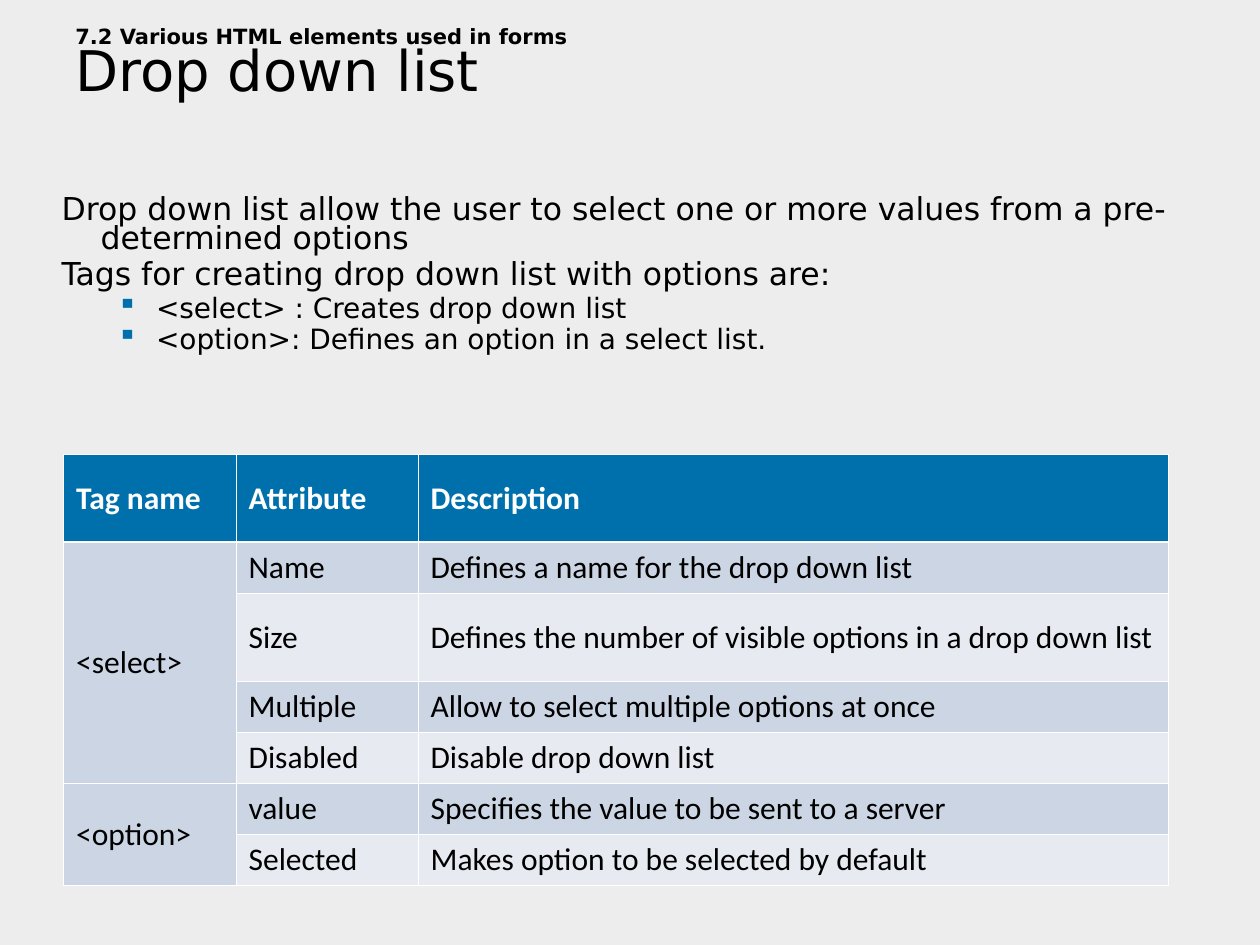
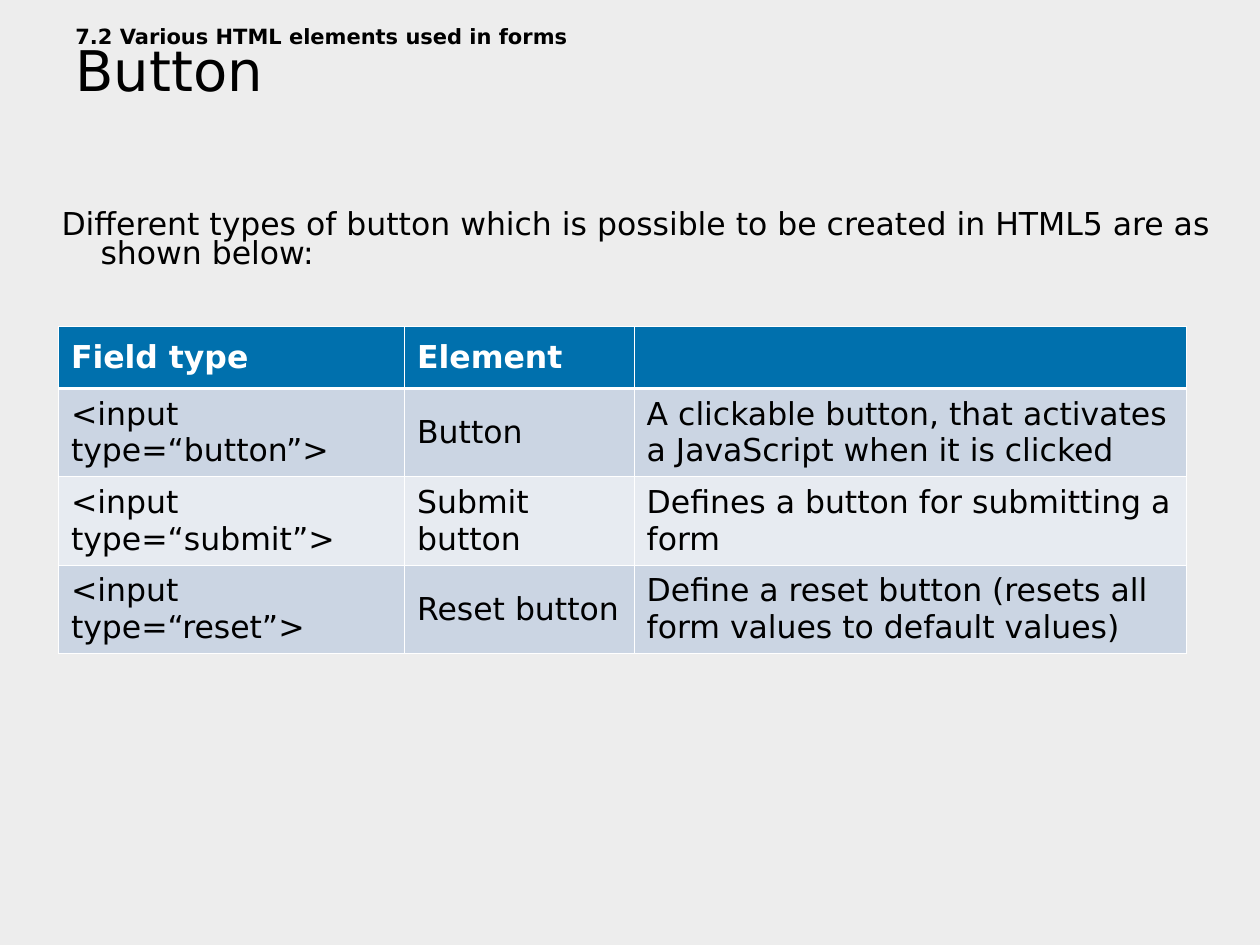
from lxml.etree import SubElement
from pptx import Presentation
from pptx.dml.color import RGBColor
from pptx.enum.text import MSO_ANCHOR as Anchor
from pptx.oxml.ns import qn
from pptx.util import Pt

BACKDROP = RGBColor(0xED, 0xED, 0xED)
INK = RGBColor(0x00, 0x00, 0x00)
WHITE = RGBColor(0xFF, 0xFF, 0xFF)
ACCENT = RGBColor(0x00, 0x70, 0xAD)
BANDS = (RGBColor(0xE7, 0xEB, 0xF1), RGBColor(0xCB, 0xD5, 0xE3))

TEXT_FONT = "DejaVu Sans"
SECTION = "7.2 Various HTML elements used in forms"
THIN, THICK = 0.45, 1.47


class Deck:
    def __init__(self):
        self.prs = Presentation()
        self.prs.slide_width, self.prs.slide_height = Pt(720), Pt(540)
        backdrop = self.prs.slide_master.background.fill
        backdrop.solid()
        backdrop.fore_color.rgb = BACKDROP
        self.slide = None

    def add_slide(self, topic):
        self.slide = self.prs.slides.add_slide(self.prs.slide_layouts[6])
        heading = self.frame(36, 9.4, 642.2, 56.2, Anchor.MIDDLE)
        section, title = heading.paragraphs[0], heading.add_paragraph()
        section.line_spacing = title.line_spacing = 0.8
        section.space_before = Pt(3)
        self.add_text(section, SECTION, 12, bold=True)
        self.add_text(title, topic, 32)

    def frame(self, left, top, width, height, anchor=Anchor.TOP):
        frame = self.slide.shapes.add_textbox(
            Pt(left), Pt(top), Pt(width), Pt(height)).text_frame
        frame.word_wrap = True
        frame.vertical_anchor = anchor
        return frame

    def add_text(self, paragraph, text, size, font=TEXT_FONT, color=INK, bold=False):
        run = paragraph.add_run()
        run.text = text
        run.font.size, run.font.name, run.font.bold = Pt(size), font, bold
        run.font.color.rgb = color

    def body(self, top, width, statements, bullets=()):
        frame = self.frame(23.8, top, width, 365.8)
        lines = [(text, 0) for text in statements] + [(text, 1) for text in bullets]
        for index, (text, level) in enumerate(lines):
            paragraph = frame.add_paragraph() if index else frame.paragraphs[0]
            paragraph.level = level
            paragraph.line_spacing = Pt(13.5 if level else 16.5)
            paragraph.space_after = Pt(4.5)
            self.indent(paragraph, 58.3 if level else 26.6, -22.3, bullet=level > 0)
            self.add_text(paragraph, text, 16 if level else 18)

    def indent(self, paragraph, margin, hanging, bullet):
        props = paragraph._p.get_or_add_pPr()
        props.set("marL", str(Pt(margin)))
        props.set("indent", str(Pt(hanging)))
        if bullet:
            color = SubElement(props, qn("a:buClr"))
            SubElement(color, qn("a:srgbClr"), val=str(ACCENT))
            SubElement(props, qn("a:buChar"), char="▪")
        else:
            SubElement(props, qn("a:buNone"))

    def table(self, left, top, widths, heights, rows, font=TEXT_FONT, merges=()):
        grid = self.slide.shapes.add_table(
            len(rows), len(widths), Pt(left), Pt(top),
            Pt(sum(widths)), Pt(sum(heights))).table
        grid.horz_banding = False
        for column, width in zip(grid.columns, widths):
            column.width = Pt(width)
        for r, (height, texts) in enumerate(zip(heights, rows)):
            grid.rows[r].height = Pt(height)
            for c, text in enumerate(texts):
                self.cell(grid.cell(r, c), r, text, font)
        for first, last in merges:
            grid.cell(first, 0).merge(grid.cell(last, 0))

    def cell(self, cell, row, text, font):
        header = row == 0
        cell.vertical_anchor = Anchor.MIDDLE
        self.borders(cell, THICK if row == 1 else THIN, THICK if header else THIN)
        cell.fill.solid()
        cell.fill.fore_color.rgb = ACCENT if header else BANDS[row % 2]
        if text:
            self.add_text(cell.text_frame.paragraphs[0], text, 18, font,
                          WHITE if header else INK, header)

    def borders(self, cell, top, bottom):
        props = cell._tc.get_or_add_tcPr()
        for side, width in (("L", THIN), ("R", THIN), ("T", top), ("B", bottom)):
            line = SubElement(props, qn(f"a:ln{side}"), w=str(Pt(width)))
            fill = SubElement(line, qn("a:solidFill"))
            SubElement(fill, qn("a:srgbClr"), val=str(WHITE))


def main():
    deck = Deck()

    deck.add_slide("Drop down list")
    deck.body(
        109.4, 682.6,
        ["Drop down list allow the user to select one or more values "
         "from a pre-determined options",
         "Tags for creating drop down list with options are:"],
        ["<select> : Creates drop down list",
         "<option>: Defines an option in a select list."])
    deck.table(
        36.3, 259.7, [98.6, 104, 428.8], [50.2, 29.2, 50.2] + [29.2] * 4,
        [("Tag name", "Attribute", "Description"),
         ("<select>", "Name", "Defines a name for the drop down list"),
         ("", "Size", "Defines the number of visible options in a drop down list"),
         ("", "Multiple", "Allow to select multiple options at once"),
         ("", "Disabled", "Disable drop down list"),
         ("<option>", "value", "Specifies the value to be sent to a server"),
         ("", "Selected", "Makes option to be selected by default")],
        font="Calibri", merges=[(1, 4), (5, 6)])

    deck.add_slide("Button")
    deck.body(
        118.1, 696.2,
        ["Different types of button which is possible to be created "
         "in HTML5 are as shown below:"])
    deck.table(
        33.4, 186.4, [197.8, 131.2, 315.6], [35.6] + [50.5] * 3,
        [("Field type", "Element", ""),
         ("<input type=“button”>", "Button",
          "A clickable button, that activates a JavaScript when it is clicked"),
         ("<input type=“submit”>", "Submit button",
          "Defines a button for submitting a form"),
         ("<input type=“reset”>", "Reset button",
          "Define a reset button (resets all form values to default values)")])

    deck.prs.save("out.pptx")


if __name__ == "__main__":
    main()
